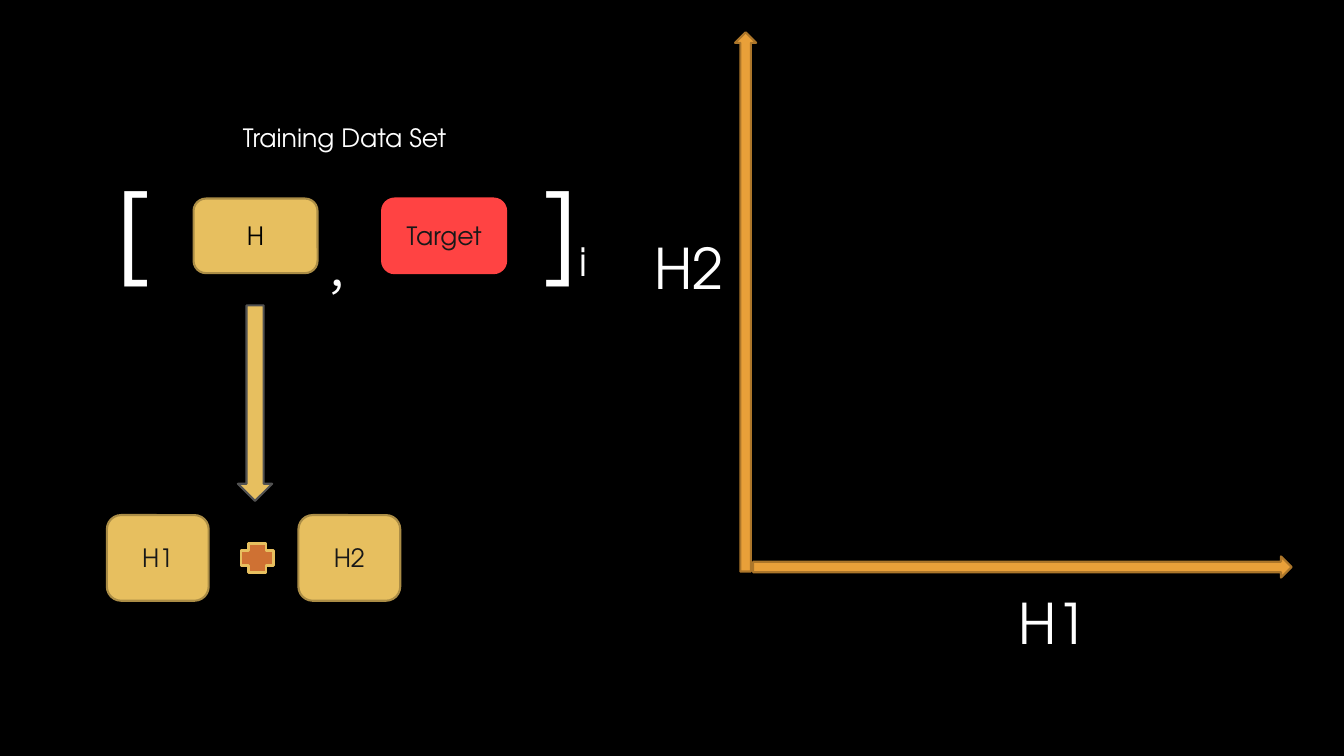
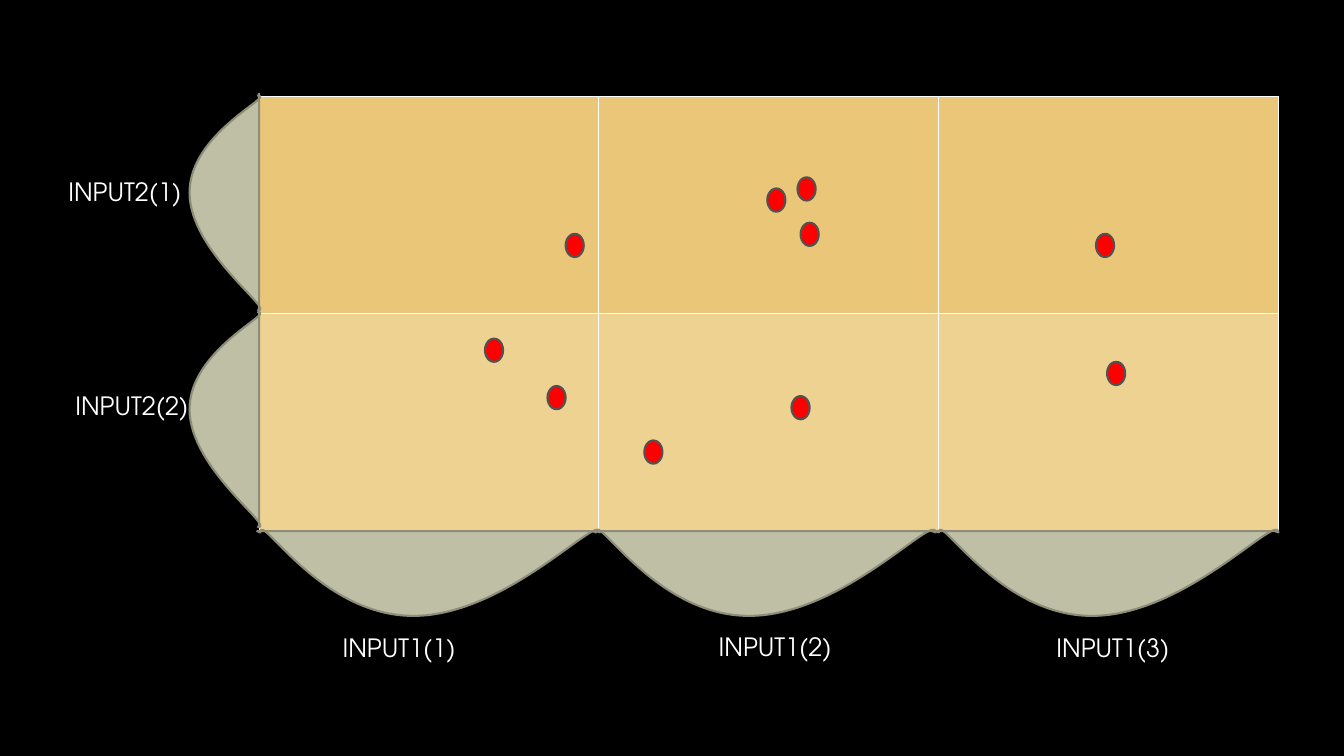
from lxml.etree import SubElement
from pptx import Presentation
from pptx.dml.color import RGBColor
from pptx.enum.shapes import MSO_SHAPE
from pptx.enum.text import MSO_ANCHOR, PP_ALIGN
from pptx.oxml.ns import qn
from pptx.util import Inches, Pt

FONT = "TeX Gyre Adventor"
BLACK = RGBColor(0, 0, 0)
WHITE = RGBColor(255, 255, 255)
INK = RGBColor(0x18, 0x18, 0x18)
GOLD = RGBColor(0xE7, 0xBF, 0x5F)
BRONZE = RGBColor(0xAB, 0x8D, 0x46)
ORANGE = RGBColor(0xE9, 0xA0, 0x39)
BROWN = RGBColor(0xAC, 0x76, 0x2A)
RUST = RGBColor(0xCF, 0x71, 0x33)
CORAL = RGBColor(0xFF, 0x43, 0x43)
RED = RGBColor(255, 0, 0)
GRAY = RGBColor(0x52, 0x52, 0x52)
SAGE = RGBColor(0xBF, 0xBF, 0xA5)
OLIVE = RGBColor(0x8D, 0x8D, 0x7A)
BANDS = [RGBColor(0xE9, 0xC6, 0x78), RGBColor(0xED, 0xD2, 0x92)]

# Text, box, fill, line, text colour
BOXES = [
    ("H", (1.92, 1.97, 1.23, 0.74), GOLD, BRONZE, BLACK),
    ("Target", (3.79, 1.97, 1.23, 0.74), CORAL, CORAL, INK),
    ("H1", (1.06, 5.11, 1.01, 0.85), GOLD, BRONZE, INK),
    ("H2", (2.96, 5.11, 1.01, 0.85), GOLD, BRONZE, INK),
]
# Preset, box, fill, line, line width
SIGNS = [
    (MSO_SHAPE.DOWN_ARROW, (2.36, 3.03, 0.34, 1.94), GOLD, GRAY, 1.5),
    (MSO_SHAPE.CROSS, (2.39, 5.39, 0.32, 0.29), RUST, GOLD, 2),
    (MSO_SHAPE.RIGHT_ARROW, (7.47, 5.52, 5.34, 0.21), ORANGE, BROWN, 1.5),
    (MSO_SHAPE.UP_ARROW, (7.29, 0.32, 0.21, 5.35), ORANGE, BROWN, 1.5),
]
# Text, box, size
LABELS = [
    ("Training Data Set", (2.31, 1.16, 2.27, 0.4), 18),
    ("，", (3.14, 2.39, 0.65, 0.64), 32),
    ("[\t]", (1.06, 1.57, 4.81, 1.31), 72),
    ("i", (5.65, 2.31, 0.28, 0.57), 28),
    ("H1", (10, 5.79, 0.9, 0.77), 40),
    ("H2", (6.39, 2.27, 0.9, 0.77), 40),
]
STOP = 4.57  # right tab that holds the closing bracket

GRID = (2.57, 0.96, 10.11, 4.3)
INPUTS = [
    ("INPUT1(1)", 3.3, 6.22), ("INPUT1(2)", 7.03, 6.21),
    ("INPUT1(3)", 10.38, 6.22), ("INPUT2(1)", 0.58, 1.7),
    ("INPUT2(2)", 0.65, 3.82),
]
DOTS = [
    (7.61, 1.87), (7.91, 1.76), (6.39, 4.37), (7.85, 3.93), (5.61, 2.32),
    (4.81, 3.36), (5.43, 3.83), (7.94, 2.21), (10.87, 2.32), (10.98, 3.59),
]
# Bell outline: corner points, and the handles of the curves that end at some
CORNERS = [(0.68, 0), (0.67, 0.02), (0, 0.98), (0.67, 2.15), (0.68, 2.13)]
HANDLES = {2: [(0.84, 0.02), (0, 0.39)], 3: [(0, 1.57), (0.84, 2.15)]}
# Box before turning, turn in degrees
BELLS = [((1.88, top, 0.69, 2.15), 0) for top in (0.93, 3.08)]
BELLS += [((left, 3.99, 0.84, 3.4), 270) for left in (3.83, 7.16, 10.56)]


def place(box):
    return [Inches(v) for v in box]


def paint(shape, fill, line, width=1.5):
    shape.shadow.inherit = False
    shape.fill.solid()
    shape.fill.fore_color.rgb = fill
    shape.line.color.rgb = line
    shape.line.width = Pt(width)


def write(shape, text, color, size=18, align=PP_ALIGN.CENTER, **form):
    frame = shape.text_frame
    for key, value in form.items():
        setattr(frame, key, value)
    par = frame.paragraphs[0]
    par.alignment = align
    run = par.add_run()
    run.text = text
    for key, value in {"name": FONT, "size": Pt(size)}.items():
        setattr(run.font, key, value)
    run.font.color.rgb = color
    if "\t" in text:
        tabs = SubElement(par._p.get_or_add_pPr(), qn("a:tabLst"))
        SubElement(tabs, qn("a:tab"), pos=str(Inches(STOP)), algn="r")


def label(slide, text, box, size=18):
    write(slide.shapes.add_textbox(*place(box)), text, WHITE, size,
          PP_ALIGN.LEFT, word_wrap=True, margin_right=0)


def sign(slide, kind, box, *look):
    shape = slide.shapes.add_shape(kind, *place(box))
    paint(shape, *look)
    return shape


def bend(shape):
    """Turn the straight parts that have handles into cubic curves."""
    parts = list(shape._element.iter(qn("a:lnTo")))
    for index, knots in HANDLES.items():
        part = parts[index - 1]
        part.tag = qn("a:cubicBezTo")
        for i, (x, y) in enumerate(knots):
            dot = SubElement(part, qn("a:pt"),
                             x=str(Inches(x)), y=str(Inches(y)))
            part.insert(i, dot)


def bell(slide, box, turn):
    start, *rest = [tuple(place(dot)) for dot in CORNERS]
    pen = slide.shapes.build_freeform(*start, scale=1.0)
    pen.add_line_segments(rest, close=True)
    shape = pen.convert_to_shape()
    bend(shape)
    for key, value in zip(("left", "top", "width", "height"), place(box)):
        setattr(shape, key, value)
    shape.rotation = turn
    paint(shape, SAGE, OLIVE)


def edge(cell):
    """Give a cell white one-point borders."""
    props = cell._tc.get_or_add_tcPr()
    for i, tag in enumerate(("lnL", "lnR", "lnT", "lnB")):
        line = SubElement(props, qn("a:" + tag), w=str(Pt(1)))
        fill = SubElement(line, qn("a:solidFill"))
        SubElement(fill, qn("a:srgbClr"), val=str(WHITE))
        props.insert(i, line)


def grid(slide):
    table = slide.shapes.add_table(len(BANDS), 3, *place(GRID)).table
    for row, color in zip(table.rows, BANDS):
        for cell in row.cells:
            cell.fill.solid()
            cell.fill.fore_color.rgb = color
            edge(cell)


def plot(slide):
    for text, box, fill, line, color in BOXES:
        shape = sign(slide, MSO_SHAPE.ROUNDED_RECTANGLE, box, fill, line)
        write(shape, text, color, vertical_anchor=MSO_ANCHOR.MIDDLE)
    for item in SIGNS:
        sign(slide, *item)
    for item in LABELS:
        label(slide, *item)


def rules(slide):
    grid(slide)
    for item in BELLS:
        bell(slide, *item)
    for text, left, top in INPUTS:
        label(slide, text, (left, top, 1.33, 0.4))
    for left, top in DOTS:
        sign(slide, MSO_SHAPE.FLOWCHART_CONNECTOR,
             (left, top, 0.18, 0.23), RED, GRAY)


def main():
    deck = Presentation()
    deck.slide_width, deck.slide_height = Inches(13.33), Inches(7.5)
    back = deck.slide_master.background.fill
    back.solid()
    back.fore_color.rgb = BLACK
    for draw in (plot, rules):
        draw(deck.slides.add_slide(deck.slide_layouts[6]))
    deck.save("out.pptx")


if __name__ == "__main__":
    main()
